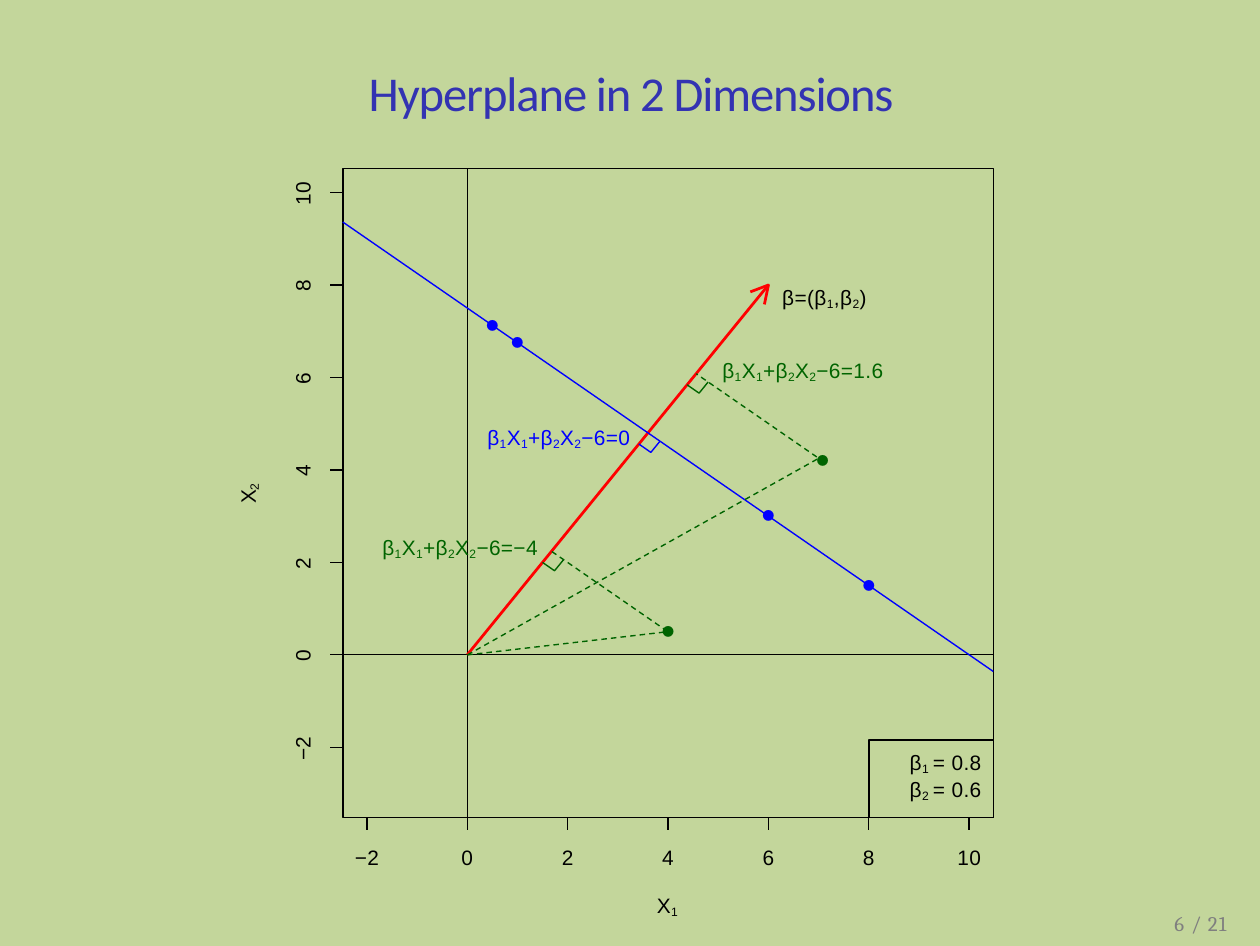
"""Builds a slide that plots a separating hyperplane in two dimensions."""
import pptx
import pptx.dml.color
import pptx.enum.dml
import pptx.enum.shapes
import pptx.enum.text
import pptx.oxml
import pptx.util
from pptx.util import Inches

COLORS = {"back": "C3D69B", "title": "3333B2", "black": "000000", "red": "FF0000",
          "blue": "0000FF", "green": "006400", "gray": "7F7F7F"}
ALIGN = pptx.enum.text.PP_ALIGN
X_MIN, X_MAX, Y_MIN, Y_MAX = -2.48, 10.48, -3.52, 10.52
X_UNIT, Y_UNIT = 2.41 / 12, 2.22 / 12
BETA = (0.6, 0.8)
MARK = 0.3
TICK = 0.05


def rgb(name):
    return pptx.dml.color.RGBColor.from_string(COLORS[name])


def to_x(value):
    return 1.87 + X_UNIT * value


def to_y(value):
    return 2.62 - Y_UNIT * value


def along_beta(length):
    return BETA[0] * length, BETA[1] * length


def foot_length(point):
    return BETA[0] * point[0] + BETA[1] * point[1]


def on_plane(x):
    return x, 7.5 - 0.75 * x


class Plot:
    def __init__(self, slide):
        self.s = slide
        self.font = "Arial"
        self.size = 6
        self.thin = 0.39
        fill = slide.background.fill
        fill.solid()
        fill.fore_color.rgb = rgb("back")

    def style(self, sp, color, width, dashed):
        sp.line.color.rgb = rgb(color)
        sp.line.width = pptx.util.Pt(width or self.thin)
        if dashed:
            sp.line.dash_style = pptx.enum.dml.MSO_LINE.DASH

    def line(self, x1, y1, x2, y2, color="black", width=None):
        sp = self.s.shapes.add_connector(
            pptx.enum.shapes.MSO_CONNECTOR.STRAIGHT,
            Inches(x1), Inches(y1), Inches(x2), Inches(y2))
        self.style(sp, color, width, False)
        sp._element.spPr.append(pptx.oxml.parse_xml(
            '<a:effectLst xmlns:a="http://schemas.openxmlformats.org/drawingml/2006/main"/>'))

    def data_line(self, start, end, color="black", width=None):
        self.line(to_x(start[0]), to_y(start[1]), to_x(end[0]), to_y(end[1]), color, width)

    def outline(self, points, color="black", width=None, dashed=False, close=False):
        spots = [(Inches(to_x(x)), Inches(to_y(y))) for x, y in points]
        builder = self.s.shapes.build_freeform(*spots[0])
        builder.add_line_segments(spots[1:], close=close)
        sp = builder.convert_to_shape()
        sp.shadow.inherit = False
        sp.fill.background()
        self.style(sp, color, width, dashed)

    def right_angle(self, length, color):
        x, y = along_beta(length - MARK)
        dx, dy = along_beta(MARK)
        self.outline([(x, y), (x + dy, y - dx), (x + dy + dx, y - dx + dy)], color)

    def text(self, box, lines, color="black", size=None, font=None, align=ALIGN.LEFT,
             spacing=0.1, before=1.2, top=0.02, vertical=False, pitch=None):
        tb = self.s.shapes.add_textbox(*map(Inches, box))
        tf = tb.text_frame
        tf.word_wrap = True
        tf.margin_left = tf.margin_right = tf.margin_bottom = 0
        tf.margin_top = Inches(top)
        if vertical:
            tf._txBody.bodyPr.set("vert", "vert270")
        for i, line in enumerate(lines):
            p = tf.add_paragraph() if i else tf.paragraphs[0]
            p.alignment = align
            p.space_before = pptx.util.Pt(0.3 if i else before)
            if pitch:
                p.line_spacing = pptx.util.Pt(pitch)
            p.font.name = font or self.font
            p.font.size = pptx.util.Pt(size or self.size)
            p.font.color.rgb = rgb(color)
            for j, part in enumerate(line.split("|")):
                r = p.add_run()
                r.text = part
                props = r._r.get_or_add_rPr()
                props.set("spc", str(round(spacing * 100)))
                if j % 2:
                    props.set("baseline", "-14000")

    def side_text(self, x, y, line):
        self.text((x, y - 0.1, 0.12, 0.2), [line], align=ALIGN.CENTER,
                  spacing=0, before=0.7, top=0.01, vertical=True)

    def dot(self, point, color):
        self.text((to_x(point[0]) - 0.04, to_y(point[1]) - 0.05, 0.08, 0.09), ["●"], color,
                  3.5, "Noto Sans CJK JP", ALIGN.CENTER, spacing=0.3, before=1.4)


def main():
    prs = pptx.Presentation()
    prs.slide_width, prs.slide_height = pptx.util.Pt(363), pptx.util.Pt(272.5)
    plot = Plot(prs.slides.add_slide(prs.slide_layouts[6]))

    plot.text((1.3, 0.23, 2.45, 0.25), ["Hyperplane in 2 Dimensions"], "title", 14,
              "Calibri", ALIGN.CENTER, spacing=-0.33, before=1.4)

    left, bottom = to_x(X_MIN), to_y(Y_MIN)
    for value in range(-2, 11, 2):
        label = str(value).replace("-", "−")
        x, y = to_x(value), to_y(value)
        plot.line(x, bottom, x, bottom + TICK)
        plot.text((x - 0.1, 3.36, 0.2, 0.13), [label], align=ALIGN.CENTER)
        plot.line(left, y, left - TICK, y)
        plot.side_text(1.16, y, label)
    plot.outline([(X_MIN, Y_MIN), (X_MAX, Y_MIN), (X_MAX, Y_MAX), (X_MIN, Y_MAX)], close=True)
    plot.text((2.57, 3.55, 0.2, 0.13), ["X|1"], align=ALIGN.CENTER)
    plot.side_text(0.94, 1.97, "X|2")
    plot.data_line((X_MIN, 0), (X_MAX, 0))
    plot.data_line((0, Y_MIN), (0, Y_MAX))

    plot.data_line((0, 0), (6, 8), "red", 0.78)
    plot.outline([(5.92, 7.58), (6, 8), (5.64, 7.85)], "red", 0.78)
    plot.data_line(on_plane(X_MIN), on_plane(X_MAX), "blue")
    plot.right_angle(6, "blue")
    for x in (0.5, 1, 6, 8):
        plot.dot(on_plane(x), "blue")

    for point, dot in (((7, 4.25), (7.08, 4.2)), ((4, 0.5), (4, 0.5))):
        length = foot_length(point)
        plot.outline([(0, 0), point, along_beta(length)], "green", dashed=True)
        plot.right_angle(length, "green")
        plot.dot(dot, "green")

    plane = "β|1|X|1|+β|2|X|2|−6="
    for x, y, label, color in ((3.13, 1.12, "β=(β|1|,β|2|)", "black"),
                               (2.89, 1.41, plane + "1.6", "green"),
                               (1.95, 1.68, plane + "0", "blue"),
                               (1.53, 2.12, plane + "−4", "green")):
        plot.text((x, y, 0.75, 0.13), [label], color)

    plot.outline([(8, -1.84), (X_MAX, -1.84), (X_MAX, Y_MIN), (8, Y_MIN)], close=True)
    plot.text((3.64, 2.98, 0.34, 0.24), ["β|1 |= 0.8", "β|2 |= 0.6"])
    plot.text((4.7, 3.65, 0.3, 0.11), ["6 / 21"], "gray", font="Cambria",
              spacing=0.3, before=0, top=0, pitch=6.7)
    prs.save("out.pptx")


if __name__ == "__main__":
    main()
